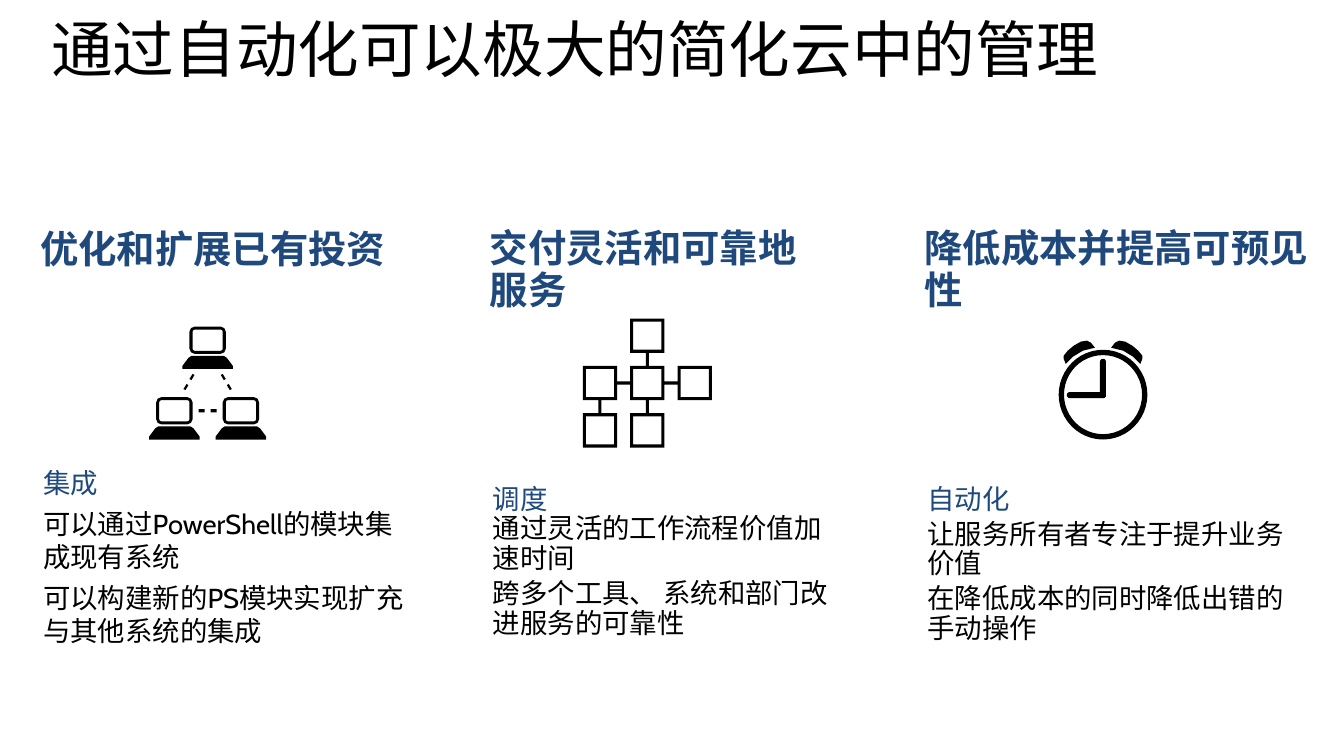
from pptx import Presentation
from pptx import util as u
from pptx.dml.color import RGBColor
from pptx.enum import shapes, text

COLUMNS = [
    {
        "area": (0.3, 2.18, 3.92, 4.98), "margins": (0.1, 0.05), "spacing": 1.0,
        "heading": "优化和扩展已有投资",
        "label": ("集成", 139.4),
        "points": [("可以通过PowerShell的模块集成现有系统", 6),
                   ("可以构建新的PS模块实现扩充与其他系统的集成", 6)],
    },
    {
        "area": (4.7, 2.18, 3.73, 4.39), "margins": (0.16, 0.1), "spacing": 0.9,
        "heading": "交付灵活和可靠地服务",
        "label": ("调度", 123.4),
        "points": [("通过灵活的工作流程价值加速时间", 0),
                   ("跨多个工具、 系统和部门改进服务的可靠性", 3.9)],
    },
    {
        "area": (9.01, 2.18, 4.12, 4.52), "margins": (0.16, 0.1), "spacing": 0.9,
        "heading": "降低成本并提高可预见性",
        "label": ("自动化", 123.4),
        "points": [("让服务所有者专注于提升业务价值", 3.9),
                   ("在降低成本的同时降低出错的手动操作", 3.9)],
    },
]


def rectangle(left, top, width, height):
    right, bottom = left + width, top + height
    return [(left, top), (right, top), (right, bottom), (left, bottom)]


def rounded(left, top, width, height, radius):
    right, bottom, bend = left + width, top + height, radius * 0.3
    return [
        (left, top + radius), (left + bend, top + bend), (left + radius, top),
        (right - radius, top), (right - bend, top + bend), (right, top + radius),
        (right, bottom - radius), (right - bend, bottom - bend), (right - radius, bottom),
        (left + radius, bottom), (left + bend, bottom - bend), (left, bottom - radius),
    ]


class SlideBuilder:
    COLORS = {"black": "000000", "navy": "1F497D"}
    BODY_FONT = "Cabin"
    HEADING_FONT = "Calibri"

    def __init__(self, slide):
        self.slide = slide

    def color(self, name):
        return RGBColor.from_string(self.COLORS[name])

    def text_box(self, area, margins, spacing):
        box = self.slide.shapes.add_textbox(*map(u.Inches, area))
        frame = box.text_frame
        frame.word_wrap = True
        frame.vertical_anchor = text.MSO_ANCHOR.TOP
        frame.margin_left = frame.margin_right = u.Inches(margins[0])
        frame.margin_top = frame.margin_bottom = u.Inches(margins[1])
        frame.paragraphs[0].line_spacing = spacing
        return frame

    def style(self, paragraph, content, font, size, color, bold=False):
        paragraph.text = content
        paragraph.font.name = font
        paragraph.font.size = u.Pt(size)
        paragraph.font.bold = bold
        paragraph.font.color.rgb = self.color(color)

    def title(self, content):
        frame = self.text_box((0.41, 0.2, 12.6, 1.16), (0.1, 0.05), 0.8)
        self.style(frame.paragraphs[0], content, self.BODY_FONT, 44, "black")

    def column(self, area, margins, spacing, heading, label, points):
        frame = self.text_box(area, margins, spacing)
        self.style(frame.paragraphs[0], heading, self.HEADING_FONT, 27.4, "navy", bold=True)
        for index, (content, gap) in enumerate([label] + points):
            paragraph = frame.add_paragraph()
            paragraph.line_spacing = spacing
            paragraph.space_before = u.Pt(gap)
            paragraph._p.get_or_add_pPr().set("marL", str(u.Inches(0.03)))
            self.style(paragraph, content, self.BODY_FONT, 19.6, "black" if index else "navy")

    def fill(self, shape):
        shape.shadow.inherit = False
        shape.fill.solid()
        shape.fill.fore_color.rgb = self.color("black")
        shape.line.fill.background()

    def solid(self, kind, left, top, width, height, adjustment):
        shape = self.slide.shapes.add_shape(kind, *map(u.Inches, (left, top, width, height)))
        shape.adjustments[0] = adjustment
        self.fill(shape)

    def outlines(self, contours):
        scaled = [[(u.Inches(x), u.Inches(y)) for x, y in contour] for contour in contours]
        builder = self.slide.shapes.build_freeform(*scaled[0][0])
        for index, contour in enumerate(scaled):
            if index:
                builder.move_to(*contour[0])
            builder.add_line_segments(contour[1:], close=True)
        self.fill(builder.convert_to_shape())

    def laptop_network(self):
        axis = 2.06
        contours = []
        for center, top in ((axis, 3.24), (axis - 0.33, 3.94), (axis + 0.33, 3.94)):
            contours.append(rounded(center - 0.18, top, 0.36, 0.27, 0.05))
            contours.append(rounded(center - 0.15, top + 0.03, 0.3, 0.21, 0.02))
            contours.append([(center + x, top + y) for x, y in (
                (-0.16, 0.29), (0.16, 0.29), (0.19, 0.31), (0.25, 0.39), (0.25, 0.42),
                (-0.25, 0.42), (-0.25, 0.39), (-0.19, 0.31))])
        for side in (-1, 1):
            for near, top in ((0.13, 3.72), (0.19, 3.82)):
                contours.append([(axis + side * (near + x), top + y) for x, y in (
                    (0, 0), (0.02, -0.01), (0.05, 0.04), (0.03, 0.05))])
            contours.append(rectangle(axis + side * 0.06 - 0.03, 4.06, 0.06, 0.03))
        self.outlines(contours)

    def workflow(self):
        left, top, pitch, size, stroke = 5.78, 3.16, 0.47, 0.34, 0.03
        cells = [(0, 1), (1, 0), (1, 1), (1, 2), (2, 0), (2, 1)]
        middle, gap, hole = (size - stroke) / 2, pitch - size, size - 2 * stroke
        contours = []
        for row, column in cells:
            x, y = left + column * pitch, top + row * pitch
            contours.append(rectangle(x, y, size, size))
            contours.append(rectangle(x + stroke, y + stroke, hole, hole))
            if (row + 1, column) in cells:
                contours.append(rectangle(x + middle, y + size, stroke, gap))
            if row == 1 and (row, column + 1) in cells:
                contours.append(rectangle(x + size, y + middle, gap, stroke))
        self.outlines(contours)

    def alarm_clock(self):
        axis = 10.94
        self.solid(shapes.MSO_SHAPE.DONUT, 10.5, 3.47, 0.88, 0.89, 0.06)
        self.solid(shapes.MSO_SHAPE.ROUNDED_RECTANGLE, 10.91, 3.56, 0.06, 0.39, 0.5)
        self.solid(shapes.MSO_SHAPE.ROUNDED_RECTANGLE, 10.58, 3.89, 0.39, 0.06, 0.5)
        bell = [(0.39, 3.56), (0.37, 3.61), (0.3, 3.54), (0.2, 3.48), (0.08, 3.45),
                (0.12, 3.4), (0.16, 3.38), (0.22, 3.39), (0.29, 3.43), (0.35, 3.48), (0.39, 3.53)]
        for side in (-1, 1):
            self.outlines([[(axis + side * offset, y) for offset, y in bell]])


def main():
    presentation = Presentation()
    presentation.slide_width = u.Inches(13.33)
    presentation.slide_height = u.Inches(7.5)
    builder = SlideBuilder(presentation.slides.add_slide(presentation.slide_layouts[6]))
    builder.title("通过自动化可以极大的简化云中的管理")
    for column in COLUMNS:
        builder.column(**column)
    builder.laptop_network()
    builder.workflow()
    builder.alarm_clock()
    presentation.save("out.pptx")


if __name__ == "__main__":
    main()
